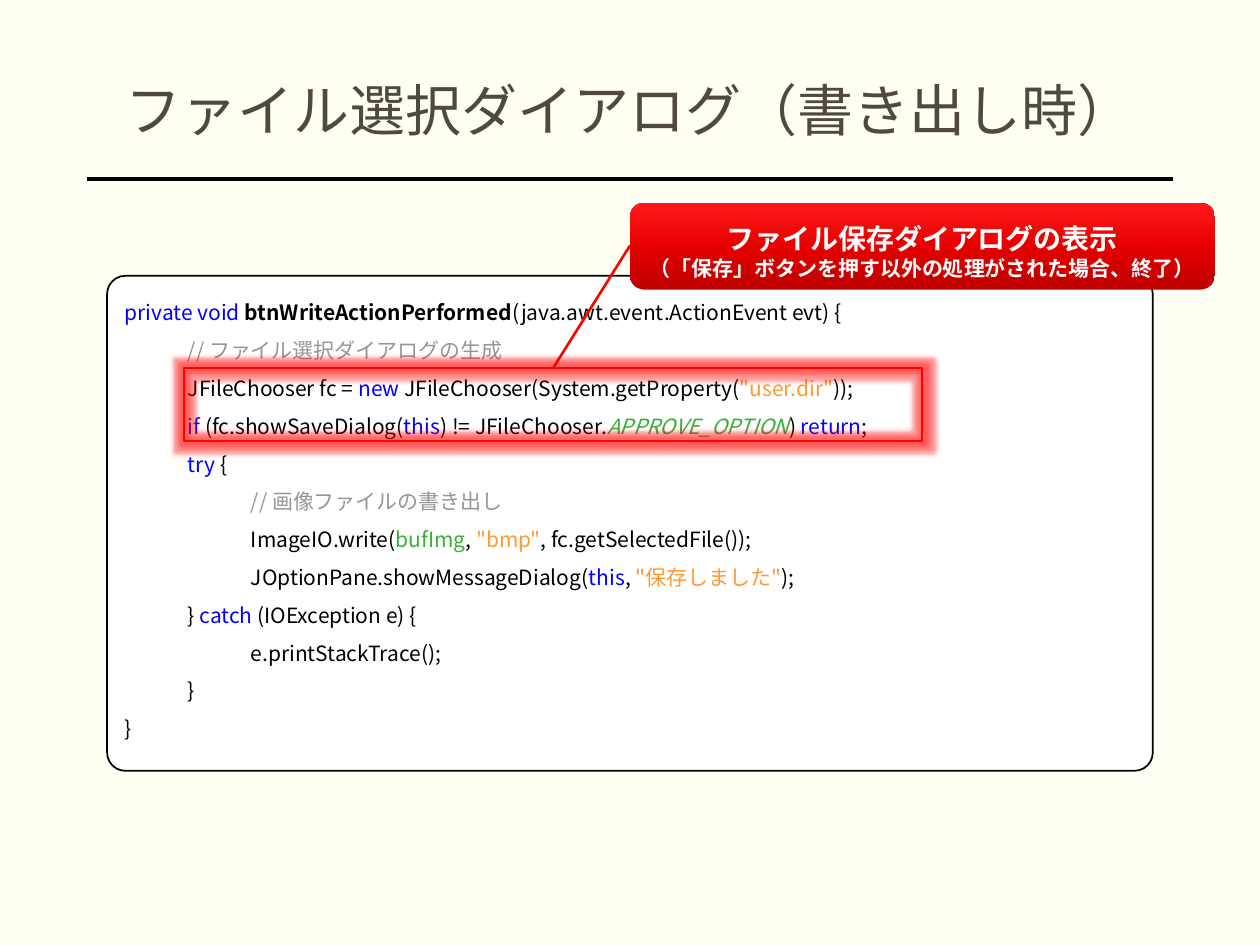
import pptx
import pptx.util
import pptx.dml.color
import pptx.enum.shapes
import pptx.enum.text
import pptx.oxml
import pptx.oxml.ns
import lxml.etree

Cm, Pt = pptx.util.Cm, pptx.util.Pt
RGB = pptx.dml.color.RGBColor.from_string
SHAPE = pptx.enum.shapes.MSO_SHAPE
ALIGN = pptx.enum.text.PP_ALIGN
ANCHOR = pptx.enum.text.MSO_ANCHOR
qn = pptx.oxml.ns.qn

THEME = {
    "font": "Noto Sans CJK JP",
    "bg": "FFFFF3", "panel": "FFFFFF", "title": "514840", "line": "000000", "mark": "FF0000",
    "grad": [(0, "BC0000"), (50, "E60000"), (100, "FF1919")],
    "title_size": 32, "head_size": 16, "text_size": 12,
    # Code styles: colour, bold, italic
    "code": {
        "plain": ("000000", False, False), "name": ("000000", True, False),
        "key": ("0000FF", False, False), "note": ("969696", False, False),
        "str": ("FF9933", False, False), "field": ("38AF38", False, False),
        "const": ("38AF38", False, True),
    },
}


def add_run(p, text, size, color, bold=False, italic=False):
    r = p.add_run()
    r.text = text
    fmt = {"name": THEME["font"], "size": Pt(size), "bold": bold, "italic": italic}
    for key, value in fmt.items():
        setattr(r.font, key, value)
    r.font.color.rgb = RGB(color)
    ea = lxml.etree.SubElement(r.font._element, qn("a:ea"))
    ea.set("typeface", THEME["font"])


def add_line(x1, y1, x2, y2, color, width):
    sp = s.shapes.add_connector(pptx.enum.shapes.MSO_CONNECTOR.STRAIGHT,
                                Cm(x1), Cm(y1), Cm(x2), Cm(y2))
    sp.line.color.rgb = RGB(color)
    sp.line.width = Pt(width)
    lxml.etree.SubElement(sp._element.spPr, qn("a:effectLst"))


prs = pptx.Presentation()
prs.slide_width, prs.slide_height = Cm(25.4), Cm(19.05)
s = prs.slides.add_slide(prs.slide_layouts[6])
s.background.fill.solid()
s.background.fill.fore_color.rgb = RGB(THEME["bg"])

# Title and rule
add_line(23.65, 3.61, 1.75, 3.61, THEME["line"], 2)
sp = s.shapes.add_textbox(Cm(1.75), Cm(1.19), Cm(21.9), Cm(2.18))
tf = sp.text_frame
for key, value in {"word_wrap": True, "vertical_anchor": ANCHOR.MIDDLE}.items():
    setattr(tf, key, value)
p = tf.paragraphs[0]
for key, value in {"alignment": ALIGN.CENTER, "line_spacing": 0.9}.items():
    setattr(p, key, value)
add_run(p, "ファイル選択ダイアログ（書き出し時）", THEME["title_size"], THEME["title"])

# Code panel: indent level, then (style, text) pieces
code = [
    (0, [("key", "private void "), ("name", "btnWriteActionPerformed"),
         ("plain", "(java.awt.event.ActionEvent evt) {")]),
    (1, [("note", "// ファイル選択ダイアログの生成")]),
    (1, [("plain", "JFileChooser fc = "), ("key", "new "),
         ("plain", "JFileChooser(System.getProperty("), ("str", '"user.dir"'), ("plain", "));")]),
    (1, [("key", "if"), ("plain", " (fc.showSaveDialog("), ("key", "this"),
         ("plain", ") != JFileChooser."), ("const", "APPROVE_OPTION"), ("plain", ") "),
         ("key", "return"), ("plain", ";")]),
    (1, [("key", "try"), ("plain", " {")]),
    (2, [("note", "// 画像ファイルの書き出し")]),
    (2, [("plain", "ImageIO.write("), ("field", "bufImg"), ("plain", ", "),
         ("str", '"bmp"'), ("plain", ", fc.getSelectedFile());")]),
    (2, [("plain", "JOptionPane.showMessageDialog("), ("key", "this"), ("plain", ", "),
         ("str", '"保存しました"'), ("plain", ");")]),
    (1, [("plain", "} "), ("key", "catch"), ("plain", " (IOException e) {")]),
    (2, [("plain", "e.printStackTrace();")]),
    (1, [("plain", "}")]),
    (0, [("plain", "}")]),
]
sp = s.shapes.add_shape(SHAPE.ROUNDED_RECTANGLE, Cm(2.16), Cm(5.56), Cm(21.08), Cm(9.98))
sp.adjustments[0] = 0.037
sp.shadow.inherit = False
sp.fill.solid()
sp.fill.fore_color.rgb = RGB(THEME["panel"])
sp.line.color.rgb = RGB(THEME["line"])
sp.line.width = Pt(1)
tf = sp.text_frame
for key, value in {"word_wrap": True, "vertical_anchor": ANCHOR.TOP}.items():
    setattr(tf, key, value)
for i, (level, pieces) in enumerate(code):
    p = tf.add_paragraph() if i else tf.paragraphs[0]
    for key, value in {"alignment": ALIGN.LEFT, "line_spacing": 1.5, "level": level}.items():
        setattr(p, key, value)
    pPr = p._p.get_or_add_pPr()
    pPr.set("marL", str(Cm(1.27 * level)))
    pPr.set("indent", "0")
    for style, text in pieces:
        add_run(p, text, THEME["text_size"], *THEME["code"][style])

# Glowing frame around the dialog lines
sp = s.shapes.add_shape(SHAPE.RECTANGLE, Cm(3.71), Cm(7.42), Cm(14.88), Cm(1.47))
sp.shadow.inherit = False
sp.fill.background()
sp.line.color.rgb = RGB(THEME["mark"])
sp.line.width = Pt(1.5)
glow = lxml.etree.SubElement(sp._element.spPr.find(qn("a:effectLst")), qn("a:glow"))
glow.set("rad", str(Pt(5)))
clr = lxml.etree.SubElement(glow, qn("a:srgbClr"))
clr.set("val", THEME["mark"])
lxml.etree.SubElement(clr, qn("a:alpha")).set("val", "40000")

# Callout
add_line(12.7, 4.95, 11.15, 7.42, THEME["mark"], 1.5)
sp = s.shapes.add_shape(SHAPE.ROUNDED_RECTANGLE, Cm(12.7), Cm(4.09), Cm(11.79), Cm(1.75))
sp.shadow.inherit = False
sp.line.fill.background()
sp.fill.gradient()
sp.fill.gradient_angle = 90
stops = sp._element.spPr.find(qn("a:gradFill")).find(qn("a:gsLst"))
for stop in list(stops):
    stops.remove(stop)
for pos, color in THEME["grad"]:
    stop = lxml.etree.SubElement(stops, qn("a:gs"))
    stop.set("pos", str(pos * 1000))
    lxml.etree.SubElement(stop, qn("a:srgbClr")).set("val", color)
tf = sp.text_frame
fmt = {"word_wrap": True, "vertical_anchor": ANCHOR.MIDDLE, "margin_left": 0,
       "margin_top": Cm(0.2), "margin_right": 0, "margin_bottom": 0}
for key, value in fmt.items():
    setattr(tf, key, value)
lines = [("ファイル保存ダイアログの表示", THEME["head_size"]),
         ("（「保存」ボタンを押す以外の処理がされた場合、終了）", THEME["text_size"])]
for i, (text, size) in enumerate(lines):
    p = tf.add_paragraph() if i else tf.paragraphs[0]
    p.alignment = ALIGN.CENTER
    add_run(p, text, size, THEME["panel"], bold=True)

prs.save("out.pptx")
